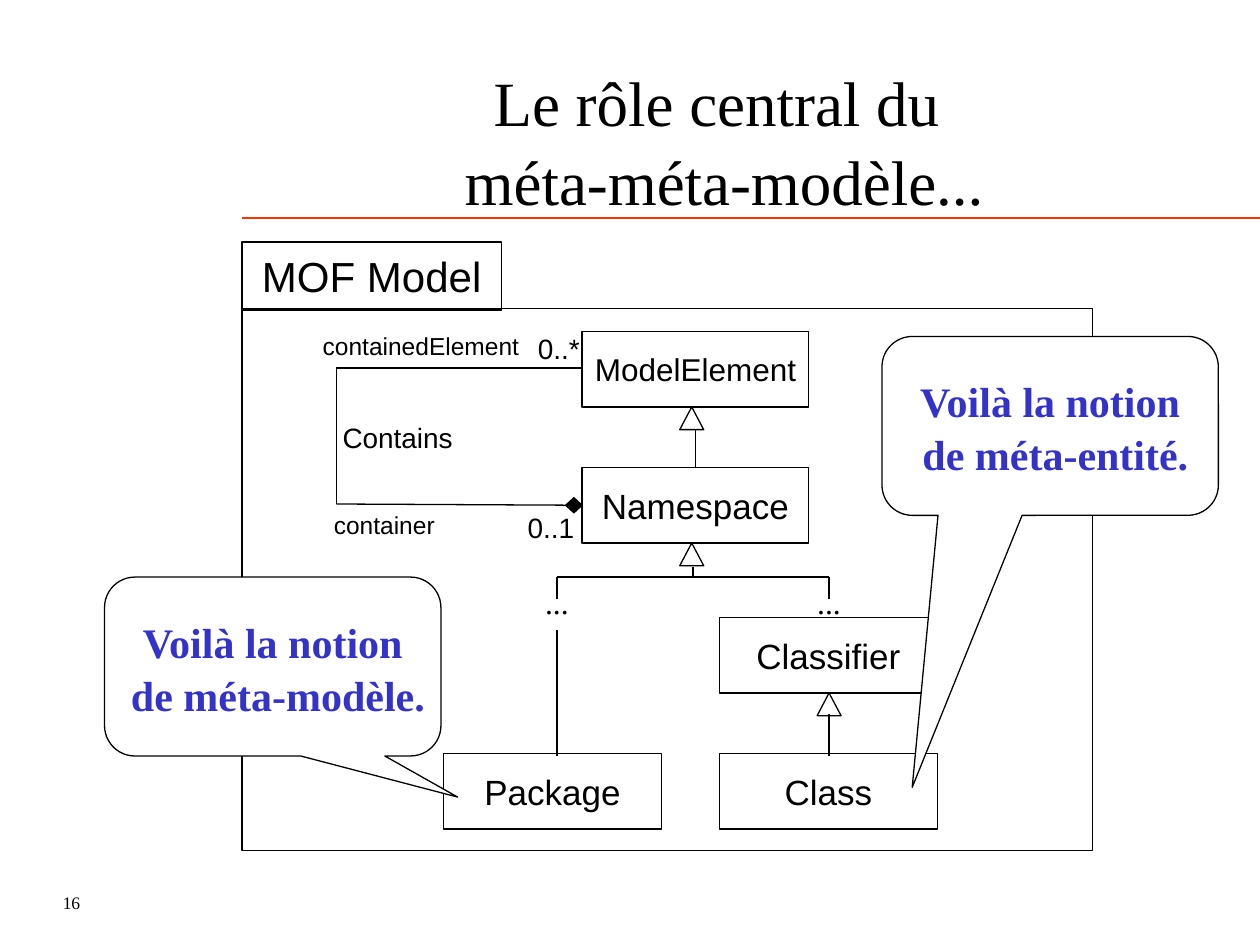
from lxml.etree import SubElement
from pptx import Presentation
from pptx.dml.color import RGBColor
from pptx.enum.shapes import MSO_CONNECTOR, MSO_SHAPE
from pptx.enum.text import MSO_ANCHOR, PP_ALIGN
from pptx.oxml.ns import qn
from pptx.util import Inches, Pt

BLACK = RGBColor(0x00, 0x00, 0x00)
WHITE = RGBColor(0xFF, 0xFF, 0xFF)
RED = RGBColor(0xFF, 0x33, 0x00)
BLUE = RGBColor(0x33, 0x33, 0xCC)
SANS, SERIF = "Arial", "Times New Roman"
LEFT, CENTER, RIGHT = PP_ALIGN.LEFT, PP_ALIGN.CENTER, PP_ALIGN.RIGHT

# Columns and rows shared by the diagram, in inches
FRAME_LEFT, FRAME_TOP = 1.92, 2.45
ROOT_LEFT, PACKAGE_LEFT, CLASS_LEFT = 4.62, 3.52, 5.71
ROOT_WIDTH, LEAF_WIDTH, BOX_HEIGHT = 1.8, 1.73, 0.6
ROOT_TOP, SPACE_TOP, CLASSIFIER_TOP, LEAF_TOP = 2.63, 3.71, 4.9, 5.98
PACKAGE_AXIS, ROOT_AXIS, CLASS_AXIS = 4.42, 5.49, 6.58
LOOP_LEFT, LOOP_TOP, LOOP_BOTTOM = 2.67, 2.92, 4
BRANCH_TOP, BRANCH_BOTTOM = 4.58, 4.75
TRIANGLE_WIDTH, TRIANGLE_HEIGHT = 0.19, 0.18
CALLOUT_WIDTH, CALLOUT_HEIGHT = 2.67, 1.42

TITLE = "Le rôle central du \vméta-méta-modèle..."
PAGE_NUMBER = "16"

# Text, size, left, top, width, height
BOXES = [
    ("", 20, FRAME_LEFT, FRAME_TOP, 6.75, 4.3),
    ("MOF Model", 24, FRAME_LEFT, 1.92, 2.06, 0.54),
    ("ModelElement", 18, ROOT_LEFT, ROOT_TOP, ROOT_WIDTH, BOX_HEIGHT),
    ("Namespace", 20, ROOT_LEFT, SPACE_TOP, ROOT_WIDTH, BOX_HEIGHT),
    ("Classifier", 20, CLASS_LEFT, CLASSIFIER_TOP, LEAF_WIDTH, BOX_HEIGHT),
    ("Class", 20, CLASS_LEFT, LEAF_TOP, LEAF_WIDTH, BOX_HEIGHT),
    ("Package", 20, PACKAGE_LEFT, LEAF_TOP, LEAF_WIDTH, BOX_HEIGHT),
]
# Axis, top
TRIANGLES = [
    (ROOT_AXIS, ROOT_TOP + BOX_HEIGHT),
    (ROOT_AXIS, SPACE_TOP + BOX_HEIGHT),
    (CLASS_AXIS, CLASSIFIER_TOP + BOX_HEIGHT),
]
# From x, from y, to x, to y
LINES = [
    (LOOP_LEFT, LOOP_TOP, ROOT_LEFT, LOOP_TOP),
    (LOOP_LEFT, LOOP_TOP, LOOP_LEFT, LOOP_BOTTOM),
    (LOOP_LEFT, LOOP_BOTTOM, ROOT_LEFT, LOOP_BOTTOM + 0.01),
    (5.52, SPACE_TOP, 5.52, 3.41),
    (5.5, BRANCH_TOP, 5.5, 4.5),
    (PACKAGE_AXIS, BRANCH_TOP, CLASS_AXIS, BRANCH_TOP),
    (PACKAGE_AXIS, BRANCH_BOTTOM, PACKAGE_AXIS, BRANCH_TOP),
    (CLASS_AXIS, BRANCH_BOTTOM, CLASS_AXIS, BRANCH_TOP),
    (PACKAGE_AXIS, 6, PACKAGE_AXIS, 5),
    (CLASS_AXIS, 6, CLASS_AXIS, 5.67),
]
# Text, size, font, alignment, left, top, width, height
LABELS = [
    ("Contains", 16, SANS, LEFT, 2.62, 3.29, 1.22, 0.37),
    ("0..*", 16, SANS, LEFT, 4.17, 2.58, 0.53, 0.37),
    ("0..1", 16, SANS, LEFT, 4.09, 4, 0.57, 0.37),
    ("containedElement", 14, SANS, RIGHT, 2.42, 2.58, 1.8, 0.34),
    ("container", 14, SANS, RIGHT, 1.75, 4, 1.8, 0.34),
    ("...", 18, SERIF, CENTER, PACKAGE_AXIS - 0.5, BRANCH_TOP, 1, 0.4),
    ("...", 18, SERIF, CENTER, CLASS_AXIS - 0.5, BRANCH_TOP, 1, 0.4),
    (PAGE_NUMBER, 10, SERIF, LEFT, 0.4, 7.03, 2.08, 0.3),
]
# Text, left, top, pointer offsets as shares of the callout
CALLOUTS = [
    ("Voilà la notion\n de méta-modèle.", 0.83, 4.58, (0.55, 0.73, 0.17)),
    ("Voilà la notion\n de méta-entité.", 7, 2.67, (-0.41, 2.02, 0.17)),
]


def write(shape, text, size, font=SANS, align=CENTER, color=BLACK, bold=False,
          wrap=False, anchor=MSO_ANCHOR.MIDDLE, spacing=1.0):
    frame = shape.text_frame
    frame.text = text
    frame.word_wrap = wrap
    frame.vertical_anchor = anchor
    styles = {"name": font, "size": Pt(size), "bold": bold}
    for paragraph in frame.paragraphs:
        paragraph.alignment = align
        paragraph.line_spacing = spacing
        for run in paragraph.runs:
            for attribute, value in styles.items():
                setattr(run.font, attribute, value)
            run.font.color.rgb = color


def add_outlined(slide, kind, left, top, width, height, fill=None):
    shape = slide.shapes.add_shape(kind, *map(Inches, (left, top, width, height)))
    shape.shadow.inherit = False
    if fill is None:
        shape.fill.background()
    else:
        shape.fill.solid()
        shape.fill.fore_color.rgb = fill
    shape.line.color.rgb = BLACK
    shape.line.width = Pt(0.75)
    return shape


def add_line(slide, ends, color=BLACK, width=0.75):
    line = slide.shapes.add_connector(MSO_CONNECTOR.STRAIGHT, *map(Inches, ends))
    line.line.color.rgb = color
    line.line.width = Pt(width)
    SubElement(line._element.spPr, qn("a:effectLst"))


def main():
    presentation = Presentation()
    presentation.slide_width, presentation.slide_height = Inches(10), Inches(7.5)
    slide = presentation.slides.add_slide(presentation.slide_layouts[5])

    title = slide.shapes.title
    title.left, title.top, title.width, title.height = map(
        Inches, (1.5, 0.42, 8.5, 1.25))
    write(title, TITLE, 36, SERIF, wrap=True, anchor=MSO_ANCHOR.TOP, spacing=1.05)
    add_line(slide, (FRAME_LEFT, 1.73, 10, 1.73), RED, 1)

    for text, size, *place in BOXES:
        box = add_outlined(slide, MSO_SHAPE.RECTANGLE, *place)
        if text:
            write(box, text, size)
    for ends in LINES:
        add_line(slide, ends)
    for axis, top in TRIANGLES:
        add_outlined(slide, MSO_SHAPE.ISOSCELES_TRIANGLE, axis - TRIANGLE_WIDTH / 2,
                     top, TRIANGLE_WIDTH, TRIANGLE_HEIGHT)
    add_outlined(slide, MSO_SHAPE.DIAMOND, ROOT_LEFT - 0.13, 3.95, 0.13, 0.12, BLACK)

    for text, size, font, align, *place in LABELS:
        label = slide.shapes.add_textbox(*map(Inches, place))
        write(label, text, size, font, align, wrap=True, anchor=MSO_ANCHOR.TOP)

    for text, left, top, pointer in CALLOUTS:
        callout = add_outlined(slide, MSO_SHAPE.ROUNDED_RECTANGULAR_CALLOUT, left, top,
                               CALLOUT_WIDTH, CALLOUT_HEIGHT, WHITE)
        for index, share in enumerate(pointer):
            callout.adjustments[index] = share
        write(callout, text, 24, SERIF, color=BLUE, bold=True, spacing=1.05)

    presentation.save("out.pptx")


if __name__ == "__main__":
    main()
